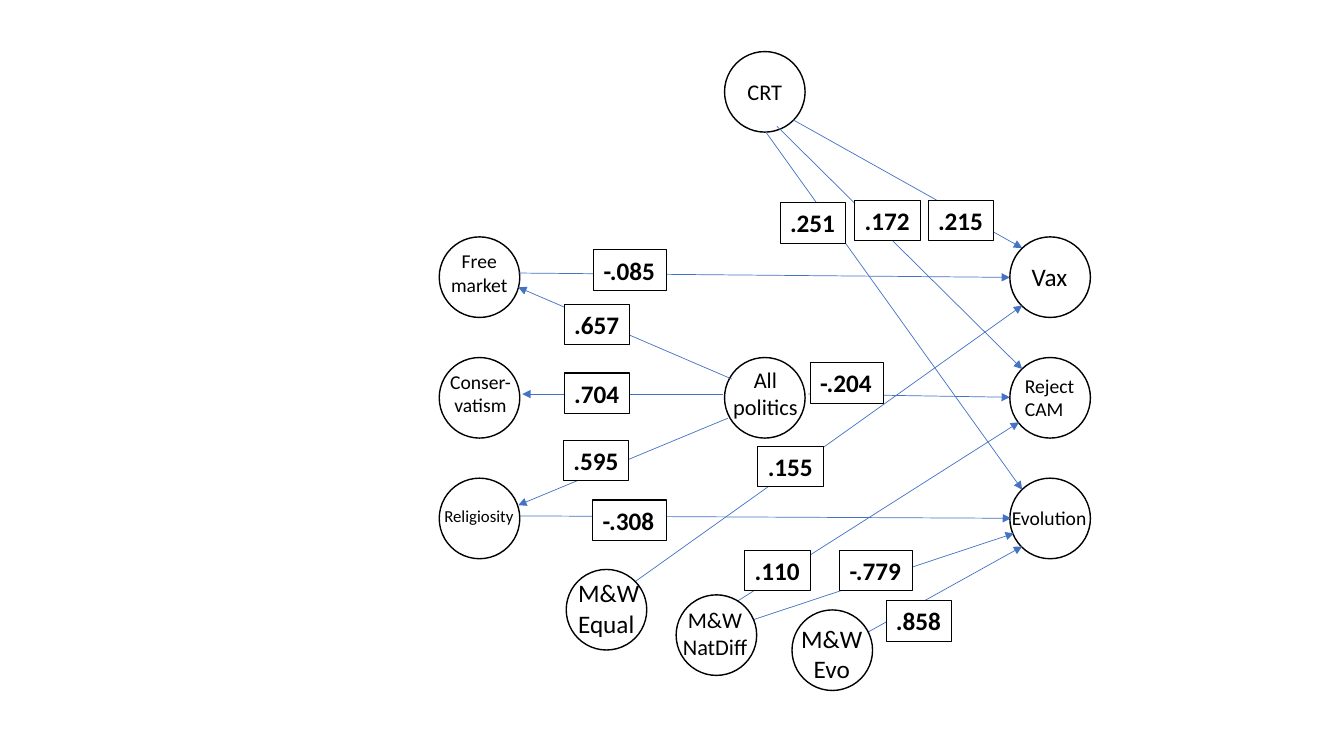
from dataclasses import dataclass
from lxml.etree import SubElement
from pptx import Presentation
from pptx.dml.color import RGBColor as Rgb
from pptx.enum.shapes import MSO_CONNECTOR as Link, MSO_SHAPE as Form
from pptx.enum.text import MSO_ANCHOR as Anchor, PP_ALIGN as Align
from pptx.oxml.ns import qn
from pptx.util import Cm, Pt


@dataclass(frozen=True)
class Theme:
    face: str = "Calibri"
    ink: Rgb = Rgb(0, 0, 0)
    paper: Rgb = Rgb(255, 255, 255)
    arrow: Rgb = Rgb(0x44, 0x72, 0xC4)
    big: int = 18
    mid: int = 16
    small: int = 14
    tiny: int = 12
    ring: float = 1
    frame: float = 0.75
    thin: float = 0.5


theme = Theme()
LEFT, MID, RIGHT = 11.07, 18.26, 25.45
ROWS = [5.97 + 3.04 * i for i in range(3)]
DISC, HIGH = 2.03, 1.02

outer = [
    (RIGHT, ROWS[0], "Vax", theme.big, Align.LEFT, (0.3, 0.48, 1.42)),
    (RIGHT, ROWS[1], "Reject\vCAM", theme.small, Align.LEFT, (0.13, 0.28, 1.78)),
    (RIGHT, ROWS[2], "Evolution", theme.small, Align.LEFT, (-0.2, 0.58, 2.41)),
    (MID, ROWS[1], "All\vpolitics", theme.mid, Align.CENTER, (-0.05, 0.1, 2.16)),
    (LEFT, ROWS[0], "Free\vmarket", theme.small, Align.CENTER, (0.03, 0.18, 1.96)),
    (LEFT, ROWS[1], "Conser-\vvatism", theme.small, Align.CENTER, (0, 0.18, 2.08)),
    (LEFT, ROWS[2], "Religiosity", theme.tiny, Align.CENTER, (-0.13, 0.58, 2.26)),
    (MID, 1.3, "CRT", theme.mid, Align.CENTER, None),
]
lower = [
    (14.27, 14.35, "M&W\vEqual", theme.big, Align.LEFT, (0.05, 0.08, 2.06)),
    (19.96, 15.37, "M&W\vEvo", theme.big, Align.CENTER, (-0.03, 0.2, 2.06)),
    (17.04, 14.99, "M&W\vNatDiff", theme.mid, Align.CENTER, (-0.1, 0.15, 2.16)),
]
paths = [
    ((18.44, 9.55), (13.06, 7.24), ".657", (14.22, 7.67)),
    ((18.21, 9.93), (13.16, 9.93), ".704", (14.22, 9.4)),
    ((18.34, 10.54), (13.06, 12.73), ".595", (14.2, 11.1)),
    ((20.37, 9.93), (25.45, 10.01), "-.204", (20.42, 9.14)),
    ((19.99, 3.02), (25.76, 6.25), ".215", (23.39, 5.05)),
    ((19.58, 3.18), (25.76, 9.3), ".172", (21.54, 5.05)),
    ((19.28, 3.3), (25.76, 12.34), ".251", (19.66, 5.11)),
    ((13.06, 6.88), (25.45, 6.99), "-.085", (14.96, 6.3)),
    ((13.11, 13.0), (25.48, 13.06), "-.308", (14.94, 12.6)),
    ((16.0, 14.66), (25.76, 7.7), ".155", (19.1, 11.25)),
    ((21.69, 16.03), (25.76, 13.77), ".858", (22.33, 15.14)),
    ((18.44, 15.24), (25.68, 10.64), ".110", (18.77, 13.87)),
    ((18.97, 15.62), (25.55, 13.44), "-.779", (21.16, 13.87)),
]


def write(shape, text, size, align, bold=False, anchor=Anchor.TOP):
    frame = shape.text_frame
    frame.word_wrap = False
    frame.vertical_anchor = anchor
    para = frame.paragraphs[0]
    para.text = text
    para.alignment = align
    font = para.font
    font.name, font.size, font.bold = theme.face, Pt(size), bold
    font.color.rgb = theme.ink


def draw(form, x, y, wide, high, width):
    shape = shapes.add_shape(form, Cm(x), Cm(y), Cm(wide), Cm(high))
    shape.shadow.inherit = False
    shape.fill.solid()
    shape.fill.fore_color.rgb = theme.paper
    shape.line.color.rgb = theme.ink
    shape.line.width = Pt(width)
    return shape


def add_nodes(nodes):
    discs = [draw(Form.OVAL, x, y, DISC, DISC, theme.ring) for x, y, *_ in nodes]
    for disc, (x, y, text, size, align, place) in zip(discs, nodes):
        if place is None:
            write(disc, text, size, align, anchor=Anchor.MIDDLE)
            continue
        dx, dy, wide = place
        high = 0.25 + 0.043 * size * len(text.split("\v"))
        box = shapes.add_textbox(Cm(x + dx), Cm(y + dy), Cm(wide), Cm(high))
        write(box, text, size, align)


def add_arrow(start, end):
    ends = [Cm(v) for v in start + end]
    arrow = shapes.add_connector(Link.STRAIGHT, *ends)
    arrow.line.color.rgb = theme.arrow
    arrow.line.width = Pt(theme.thin)
    props = arrow._element.spPr
    SubElement(props.find(qn("a:ln")), qn("a:tailEnd"), type="triangle")
    SubElement(props, qn("a:effectLst"))


deck = Presentation()
deck.slide_width, deck.slide_height = Cm(33.87), Cm(19.05)
shapes = deck.slides.add_slide(deck.slide_layouts[6]).shapes

add_nodes(outer)
for start, end, *_ in paths:
    add_arrow(start, end)
add_nodes(lower)
for *_, weight, (x, y) in paths:
    wide = 1.85 if weight.startswith("-") else 1.65
    box = draw(Form.RECTANGLE, x, y, wide, HIGH, theme.frame)
    write(box, weight, theme.big, Align.LEFT, bold=True)

deck.save("out.pptx")
